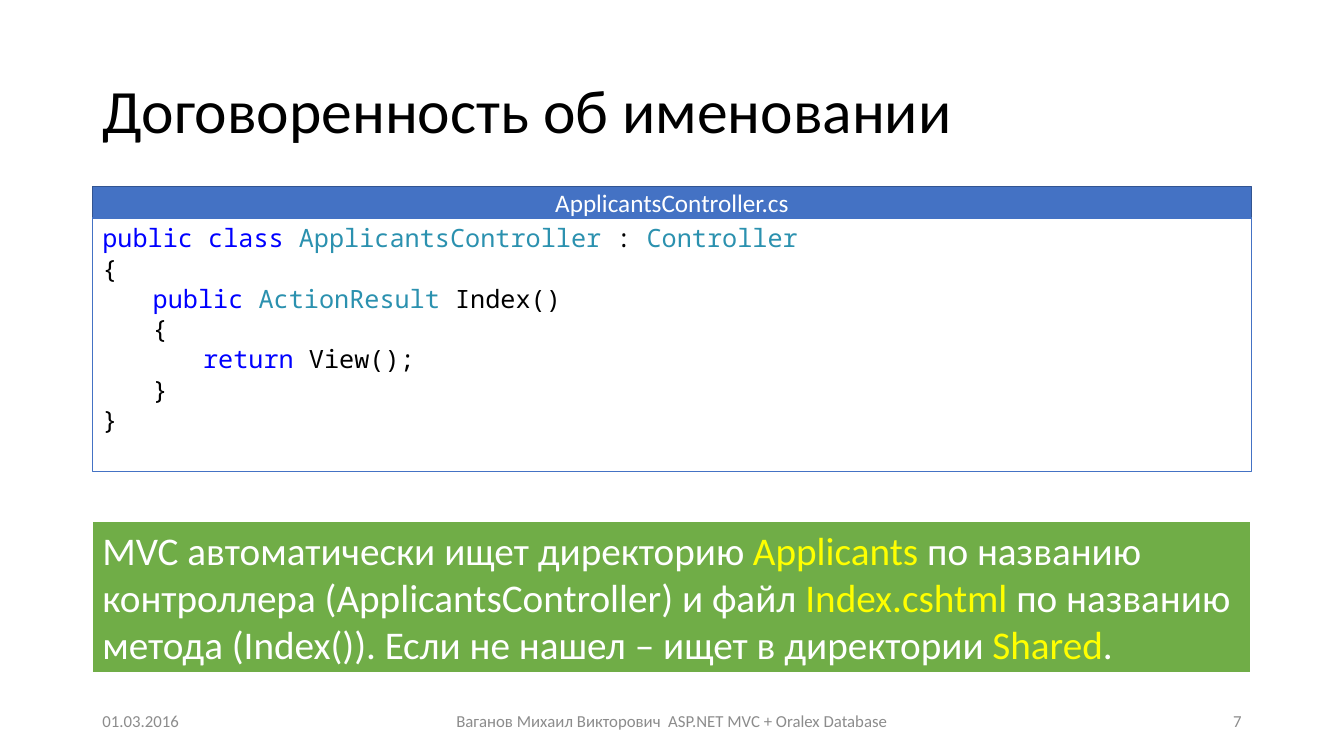
from pptx import Presentation
from pptx.dml.color import RGBColor
from pptx.enum.shapes import MSO_SHAPE as Shape
from pptx.enum.text import MSO_ANCHOR as Anchor, PP_ALIGN as Align
from pptx.util import Cm, Pt

BLACK, WHITE, BLUE, TEAL, YELLOW = "000000", "FFFFFF", "0000FF", "2B91AF", "FFFF00"
LEFT, WIDTH = Cm(2.33), Cm(29.21)


def paint(target, color):
    if hasattr(target, "solid"):
        target.solid()
        target.fore_color.rgb = RGBColor.from_string(color)
    else:
        target.color.rgb = RGBColor.from_string(color)


def write(para, spans, font, size, align=Align.LEFT):
    para.alignment = align
    para.font.name = font
    para.font.size = Pt(size)
    for text, color in spans:
        span = para.add_run()
        span.text = text
        paint(span.font, color)


deck = Presentation()
deck.slide_width, deck.slide_height = Cm(33.87), Cm(19.05)
page = deck.slides.add_slide(deck.slide_layouts[5])

title = page.shapes.title
title.left, title.top, title.width, title.height = LEFT, Cm(1.01), WIDTH, Cm(3.68)
title.text_frame.vertical_anchor = Anchor.MIDDLE
title.text_frame.paragraphs[0].line_spacing = 0.9
write(title.text_frame.paragraphs[0], [("Договоренность об именовании", BLACK)], "Calibri", 44)

footers = [
    (2.33, 7.62, "01.03.2016", Align.LEFT),
    (11.22, 11.43, "Ваганов Михаил Викторович  ASP.NET MVC + Oralex Database", Align.CENTER),
    (23.92, 7.62, "7", Align.RIGHT),
]
for left, width, text, align in footers:
    box = page.shapes.add_textbox(Cm(left), Cm(17.66), Cm(width), Cm(1.01))
    box.text_frame.word_wrap = True
    box.text_frame.vertical_anchor = Anchor.MIDDLE
    write(box.text_frame.paragraphs[0], [(text, "8C8C8C")], "Calibri", 12, align)

file_name = [[("ApplicantsController.cs", WHITE)]]
code = [
    [("public", BLUE), (" ", BLACK), ("class", BLUE), (" ", BLACK),
     ("ApplicantsController", TEAL), (" : ", BLACK), ("Controller", TEAL)],
    [("{", BLACK)],
    [("\tpublic", BLUE), (" ", BLACK), ("ActionResult", TEAL), (" Index()", BLACK)],
    [("\t{", BLACK)],
    [("\t\treturn", BLUE), (" View();", BLACK)],
    [("\t}", BLACK)],
    [("}", BLACK)],
]
summary = [[
    ("MVC автоматически ищет директорию ", WHITE), ("Applicants ", YELLOW),
    ("по названию контроллера (ApplicantsController) и файл ", WHITE),
    ("Index.cshtml ", YELLOW),
    ("по названию метода (Index()). Если не нашел – ищет в директории ", WHITE),
    ("Shared", YELLOW), (".", WHITE),
]]
panels = [
    (4.7, 0.79, "4472C4", "325491", 1, Anchor.MIDDLE, Align.CENTER, "Calibri", 18, file_name),
    (5.49, 6.4, WHITE, "4472C4", 1, Anchor.TOP, Align.LEFT, "Noto Sans Mono", 18, code),
    (13.13, 3.84, "70AD47", WHITE, 1.5, Anchor.TOP, Align.LEFT, "Calibri", 28, summary),
]
for top, height, fill, line, weight, anchor, align, font, size, lines in panels:
    panel = page.shapes.add_shape(Shape.RECTANGLE, LEFT, Cm(top), WIDTH, Cm(height))
    panel.shadow.inherit = False
    paint(panel.fill, fill)
    paint(panel.line, line)
    panel.line.width = Pt(weight)
    frame = panel.text_frame
    frame.word_wrap = True
    frame.vertical_anchor = anchor
    for index, spans in enumerate(lines):
        para = frame.add_paragraph() if index else frame.paragraphs[0]
        write(para, spans, font, size, align)

deck.save("out.pptx")
